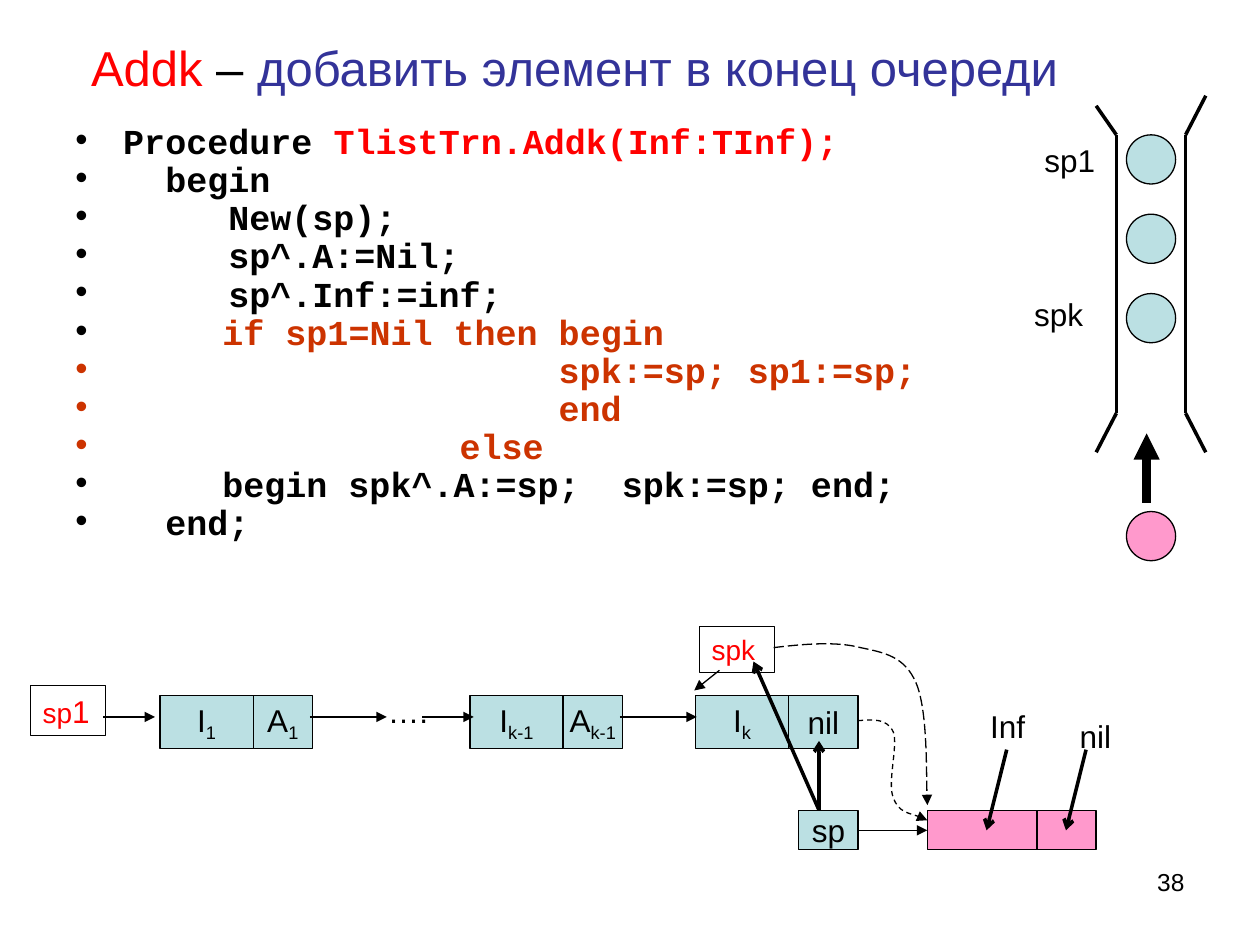
from collections import namedtuple

from lxml import etree
from pptx import Presentation
from pptx.dml.color import RGBColor
from pptx.enum.dml import MSO_LINE
from pptx.enum.shapes import MSO_CONNECTOR, MSO_SHAPE
from pptx.enum.text import MSO_ANCHOR, MSO_AUTO_SIZE, PP_ALIGN
from pptx.oxml.ns import qn
from pptx.util import Inches, Pt

STRAIGHT = MSO_CONNECTOR.STRAIGHT
RECT, OVAL = MSO_SHAPE.RECTANGLE, MSO_SHAPE.OVAL
DASH, LONG_DASH = MSO_LINE.DASH, MSO_LINE.LONG_DASH
TOP, MIDDLE = MSO_ANCHOR.TOP, MSO_ANCHOR.MIDDLE
LEFT, CENTER, RIGHT = PP_ALIGN.LEFT, PP_ALIGN.CENTER, PP_ALIGN.RIGHT
FIXED, GROW = MSO_AUTO_SIZE.NONE, MSO_AUTO_SIZE.SHAPE_TO_FIT_TEXT

COLORS = {"black": "000000", "red": "FF0000", "navy": "333399",
          "rust": "CC3300", "aqua": "BBE0E3", "pink": "FF99CC"}
CODE = [
    [("Procedure ", "black"), ("TlistTrn.Addk(Inf:TInf);", "red")],
    [("  begin", "black")],
    [("     New(sp);", "black")],
    [("     sp^.A:=Nil;", "black")],
    [("     sp^.Inf:=inf;", "black")],
    [("\t ", "black"), ("if sp1=Nil then begin", "rust")],
    [("\t                 spk:=sp; sp1:=sp;", "rust")],
    [("\t\t           end", "rust")],
    [("                else", "rust")],
    [("\t begin spk^.A:=sp;  spk:=sp; end;", "black")],
    [("  end;", "black")],
]
Box = namedtuple("Box", "left top width height")


def rgb(name):
    return RGBColor.from_string(COLORS[name])


def inches(values):
    return [Inches(value) for value in values]


def inside(box, left, top, width, height):
    return Box(box.left + left, box.top + top, width, height)


def apply(target, **values):
    for name, value in values.items():
        setattr(target, name, value)


def add_span(para, text, color="black", size=18, name="Arial", bold=False, sub=False):
    span = para.add_run()
    span.text = text
    apply(span.font, size=Pt(size), name=name, bold=bold)
    span.font.color.rgb = rgb(color)
    if sub:
        span.font._element.set("baseline", "-25000")


def add_label(page, box, text, align=LEFT, size=18, auto=GROW):
    label = page.shapes.add_textbox(*inches(box))
    apply(label.text_frame, word_wrap=True, auto_size=auto)
    para = label.text_frame.paragraphs[0]
    para.alignment = align
    add_span(para, text, size=size)


def add_block(page, box, kind, fill=None):
    block = page.shapes.add_shape(kind, *inches(box))
    block.shadow.inherit = False
    if fill:
        block.fill.solid()
        block.fill.fore_color.rgb = rgb(fill)
    else:
        block.fill.background()
    style_line(block.line, 0.75)
    return block


def add_cell(page, box, text, sub=""):
    frame = add_block(page, box, RECT, "aqua").text_frame
    apply(frame, word_wrap=False, vertical_anchor=MIDDLE)
    para = frame.paragraphs[0]
    para.alignment = CENTER
    add_span(para, text)
    if sub:
        add_span(para, sub, sub=True)


def add_pointer(page, box, *spans):
    frame = add_block(page, box, RECT).text_frame
    apply(frame, word_wrap=True, vertical_anchor=TOP, auto_size=GROW)
    para = frame.paragraphs[0]
    para.alignment = LEFT
    for text, size in spans:
        add_span(para, text, "red", size)


def style_line(line, width, tip=None, dash=None):
    line.color.rgb = rgb("black")
    line.width = Pt(width)
    if dash:
        line.dash_style = dash
    if tip:
        etree.SubElement(line._get_or_add_ln(), qn("a:tailEnd"), type=tip)


def add_line(page, box, start, end, width, tip=None):
    ends = [box.left + start[0], box.top + start[1], box.left + end[0], box.top + end[1]]
    line = page.shapes.add_connector(STRAIGHT, *inches(ends))
    style_line(line.line, width, tip)
    etree.SubElement(line._element.spPr, qn("a:effectLst"))


def add_curve(page, box, points, dash):
    start, *rest = [inches((box.left + x, box.top + y)) for x, y in points]
    builder = page.shapes.build_freeform(*start)
    builder.add_line_segments(rest, close=False)
    curve = builder.convert_to_shape()
    curve.shadow.inherit = False
    curve.fill.background()
    style_line(curve.line, 0.75, "triangle", dash)
    outline = curve._element.find(".//" + qn("a:path"))
    steps = outline.findall(qn("a:lnTo"))
    for first in range(0, len(steps), 3):
        bend = etree.SubElement(outline, qn("a:cubicBezTo"))
        for step in steps[first:first + 3]:
            bend.append(step[0])
            outline.remove(step)


def add_title(page, box):
    title = page.shapes.title
    apply(title, **dict(zip(Box._fields, inches(box))))
    apply(title.text_frame, vertical_anchor=MIDDLE, word_wrap=True, auto_size=FIXED)
    para = title.text_frame.paragraphs[0]
    para.alignment = CENTER
    for text, color in [("Addk", "red"), (" – ", "black"),
                        ("добавить элемент в конец очереди", "navy")]:
        add_span(para, text, color, 28)


def add_bullet(para, color):
    props = para._p.get_or_add_pPr()
    props.set("marL", str(Inches(0.38)))
    props.set("indent", str(Inches(-0.38)))
    tint = etree.SubElement(props, qn("a:buClr"))
    etree.SubElement(tint, qn("a:srgbClr"), val=COLORS[color])
    etree.SubElement(props, qn("a:buFont"), typeface="Arial")
    etree.SubElement(props, qn("a:buChar"), char="•")
    tabs = etree.SubElement(props, qn("a:tabLst"))
    for stop in range(1, 9):
        etree.SubElement(tabs, qn("a:tab"), pos=str(Inches(stop)), algn="l")


def add_code(page, box):
    frame = page.shapes.add_textbox(*inches(box)).text_frame
    frame.word_wrap = True
    for index, spans in enumerate(CODE):
        para = frame.add_paragraph() if index else frame.paragraphs[0]
        add_bullet(para, spans[0][1])
        apply(para, line_spacing=0.7, space_before=Pt(5 if index else 0))
        for text, color in spans:
            add_span(para, text, color, 20, "Courier New", True)


def add_pipe(page, box):
    upper, lower = 0.31, 2.52
    for wall, flare, rim in [(0.75, 0.59, 0.08), (1.3, 1.46, 0)]:
        corners = [(flare, rim), (wall, upper), (wall, lower), (flare, 2.83)]
        for start, end in zip(corners, corners[1:]):
            add_line(page, box, start, end, 2)
    for top, fill in [(upper + 0.63 * i, "aqua") for i in range(3)] + [(3.3, "pink")]:
        add_block(page, inside(box, 0.83, top, 0.39, 0.39), OVAL, fill)
    add_line(page, box, (0.99, 3.23), (0.99, 2.68), 5, "triangle")
    add_label(page, inside(box, 0.08, upper, 0.67, 0.4), "sp1")
    add_label(page, inside(box, 0, 1.53, 0.67, 0.4), "spk")


def add_queue(page, box):
    for left, sub, width, text, text_sub in [(1.03, "1", 0.47, "A", "1"),
                                             (3.49, "k-1", 0.47, "A", "k-1"),
                                             (5.28, "k", 0.55, "nil", "")]:
        add_cell(page, inside(box, left, 0.55, 0.74, 0.42), "I", sub)
        add_cell(page, inside(box, left + 0.74, 0.55, width, 0.42), text, text_sub)
    add_label(page, inside(box, 2.74, 0.47, 0.61, 0.4), "….")
    for start, end in [(0.58, 0.99), (2.22, 2.83), (3.11, 3.52), (4.68, 5.29)]:
        add_line(page, box, (start, 0.72), (end, 0.72), 1.5, "triangle")
    add_pointer(page, inside(box, 0, 0.47, 0.6, 0.4), ("sp", 16), ("1", 18))
    add_pointer(page, inside(box, 5.31, 0, 0.6, 0.37), ("spk", 16))


def add_new_node(page, box):
    for left, width in [(7.12, 0.87), (7.99, 0.47)]:
        add_block(page, inside(box, left, 1.46, width, 0.31), RECT, "pink")
    add_cell(page, inside(box, 6.1, 1.46, 0.47, 0.31), "sp")
    add_label(page, inside(box, 7.52, 0.59, 0.63, 0.4), "Inf")
    add_label(page, inside(box, 8.23, 0.67, 0.55, 0.4), "nil")
    for start, end in [((7.75, 0.98), (7.59, 1.62)), ((8.38, 0.98), (8.22, 1.62)),
                       ((6.26, 1.46), (6.26, 0.91)), ((6.26, 1.46), (5.74, 0.28))]:
        add_line(page, box, start, end, 2, "arrow")
    for start, end in [((6.57, 1.62), (7.12, 1.62)), ((5.47, 0.35), (5.27, 0.51))]:
        add_line(page, box, start, end, 0.75, "triangle")
    add_curve(page, box, [(6.57, 0.75), (6.69, 0.74), (6.8, 0.73), (6.85, 0.84),
                          (6.89, 0.94), (6.8, 1.25), (6.85, 1.36),
                          (6.89, 1.48), (7.08, 1.51), (7.12, 1.54)], DASH)
    add_curve(page, box, [(5.9, 0.17), (6.15, 0.14), (6.4, 0.12), (6.59, 0.17),
                          (6.78, 0.21), (6.94, 0.24), (7.03, 0.45),
                          (7.12, 0.66), (7.11, 1.26), (7.12, 1.42)], LONG_DASH)


def main():
    deck = Presentation()
    apply(deck, slide_width=Inches(10), slide_height=Inches(7.5))
    page = deck.slides.add_slide(deck.slide_layouts[5])
    add_title(page, Box(0.5, 0.3, 8.12, 0.46))
    add_code(page, Box(0.5, 0.99, 7.34, 3.7))
    add_pipe(page, Box(8.11, 0.76, 1.46, 3.69))
    diagram = Box(0.24, 4.97, 8.78, 1.77)
    add_queue(page, diagram)
    add_new_node(page, diagram)
    add_label(page, Box(7.17, 6.83, 2.33, 0.52), "38", RIGHT, 14, FIXED)
    deck.save("out.pptx")


if __name__ == "__main__":
    main()
